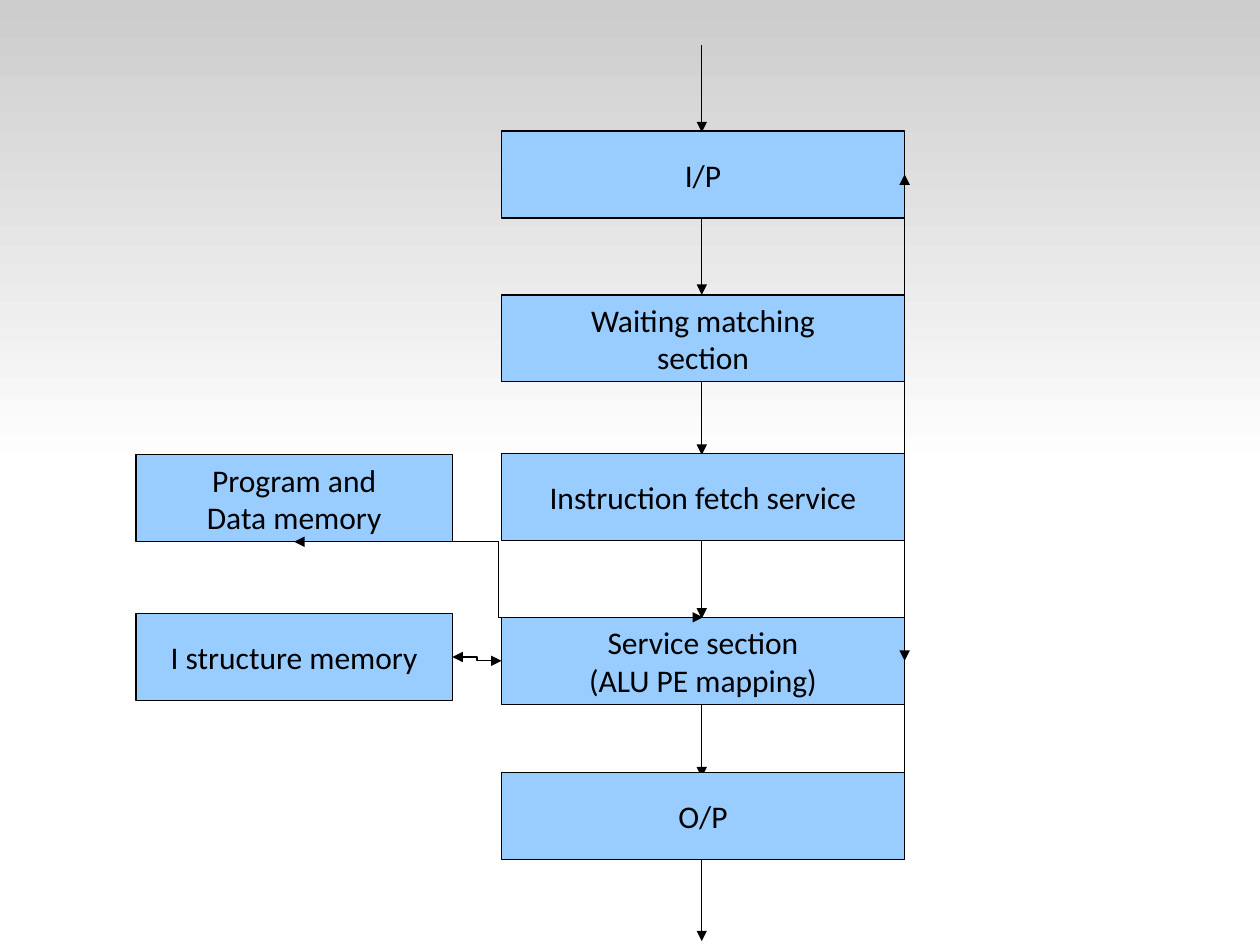
from lxml import etree
from pptx import Presentation
from pptx import util as u
from pptx.dml.color import RGBColor
from pptx.enum import shapes, text
from pptx.oxml.ns import qn

COLORS = {"box": "99CCFF", "ink": "000000", "band_top": "CCCCCC", "band_bottom": "FFFFFF"}
FONT = {"name": "Calibri", "size": u.Pt(18)}
FRAME = {"word_wrap": False, "vertical_anchor": text.MSO_ANCHOR.MIDDLE}
BOX_H = 0.69
ARROW_H = 0.69
STAGES = [
    (1.04, "I/P"),
    (2.34, "Waiting matching\nsection"),
    (3.6, "Instruction fetch service"),
    (4.9, "Service section\n(ALU PE mapping)"),
    (6.13, "O/P"),
]
ARROW_TOPS = [0.36, 1.65, 2.92, 4.22, 5.48, 6.78]
MEMORIES = [(3.61, "Program and\nData memory"), (4.87, "I structure memory")]


def color(name):
    return RGBColor.from_string(COLORS[name])


def set_all(obj, values):
    for name, value in values.items():
        setattr(obj, name, value)


def add_band(s, left, top, width, height):
    """Draw the shaded background band, dark at the top."""
    sp = s.shapes.add_shape(shapes.MSO_SHAPE.ROUNDED_RECTANGLE,
                            *map(u.Inches, (left, top, width, height)))
    sp.adjustments[0] = 0
    sp.shadow.inherit = False
    sp.line.fill.background()
    sp.fill.gradient()
    sp.fill.gradient_angle = 270
    for stop, name, position in zip(sp.fill.gradient_stops, ("band_top", "band_bottom"), (0, 1)):
        stop.color.rgb = color(name)
        stop.position = position


def add_box(s, left, top, width, label):
    sp = s.shapes.add_shape(shapes.MSO_SHAPE.FLOWCHART_PROCESS,
                            *map(u.Inches, (left, top, width, BOX_H)))
    sp.shadow.inherit = False
    sp.fill.solid()
    sp.fill.fore_color.rgb = color("box")
    sp.line.color.rgb = color("ink")
    sp.line.width = u.Pt(0.75)
    tf = sp.text_frame
    set_all(tf, FRAME)
    tf.text = label
    for p in tf.paragraphs:
        p.alignment = text.PP_ALIGN.CENTER
        for r in p.runs:
            set_all(r.font, FONT)
            r.font.color.rgb = color("ink")


def add_arrow(s, start, end, bent=False, both=False):
    kind = shapes.MSO_CONNECTOR.ELBOW if bent else shapes.MSO_CONNECTOR.STRAIGHT
    c = s.shapes.add_connector(kind, *map(u.Inches, (*start, *end)))
    c.line.color.rgb = color("ink")
    c.line.width = u.Pt(0.75)
    ln = c.line._get_or_add_ln()
    for tag in ("a:headEnd", "a:tailEnd") if both else ("a:tailEnd",):
        etree.SubElement(ln, qn(tag), type="triangle")
    etree.SubElement(c._element.spPr, qn("a:effectLst"))


def add_pipeline(s, left, width):
    """Draw the column of stages, the flow through it and the feedback on its right."""
    center, right = left + width / 2 - 0.01, left + width
    for top in ARROW_TOPS:
        add_arrow(s, (center, top), (center, top + ARROW_H))
    for top, label in STAGES:
        add_box(s, left, top, width, label)
    source, matching, _, service, output = [top + BOX_H / 2 for top, _ in STAGES]
    add_arrow(s, (right, matching), (right, service), bent=True)
    add_arrow(s, (right, output), (right, source), bent=True)


def add_memories(s, left, width, service_left, service_width):
    """Draw the memories and their two-way links to the service section."""
    for top, label in MEMORIES:
        add_box(s, left, top, width, label)
    program, structure = [top for top, _ in MEMORIES]
    service = STAGES[3][0]
    add_arrow(s, (left + width / 2, program + BOX_H),
              (service_left + service_width / 2, service), bent=True, both=True)
    add_arrow(s, (left + width, structure + BOX_H / 2),
              (service_left, service + BOX_H / 2), bent=True, both=True)


def main():
    prs = Presentation()
    prs.slide_width, prs.slide_height = u.Inches(10), u.Inches(7.5)
    s = prs.slides.add_slide(prs.slide_layouts[6])
    add_band(s, 0, 0, 10, 3.75)
    add_pipeline(s, 3.98, 3.2)
    add_memories(s, 1.08, 2.51, 3.98, 3.2)
    prs.save("out.pptx")


if __name__ == "__main__":
    main()
